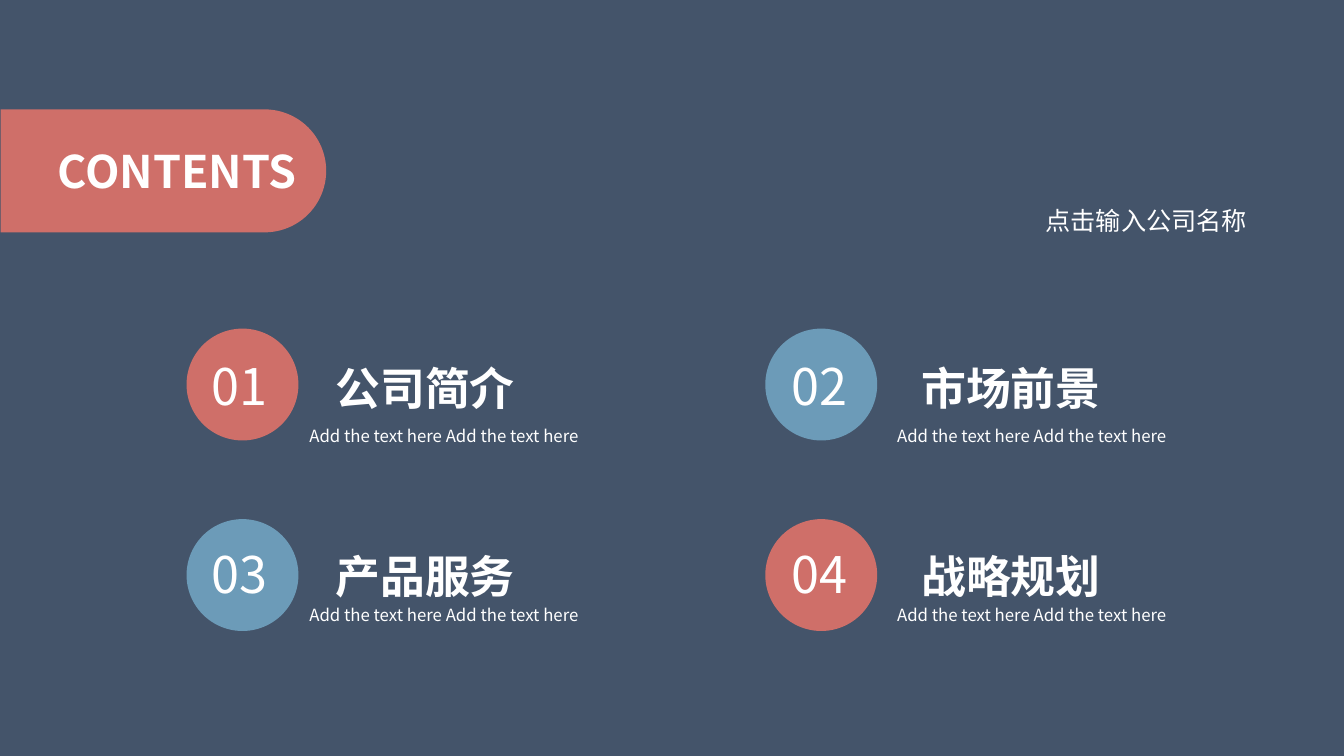
from dataclasses import dataclass

from lxml import etree
from pptx import Presentation
from pptx.dml.color import RGBColor
from pptx.enum import shapes, text
from pptx.oxml.ns import qn
from pptx.util import Inches, Pt


@dataclass(frozen=True)
class Theme:
    background: str = "44546A"
    coral: str = "CF6F69"
    blue: str = "6C9BB8"
    white: str = "FFFFFF"
    font: str = "Noto Sans CJK SC"
    number_size: int = 36
    heading_size: int = 32
    company_size: int = 18
    note_size: int = 12


THEME = Theme()

# Left edges of the two columns and top edges of the two rows, per part
CIRCLE_LEFTS, CIRCLE_TOPS = (1.85, 7.59), (3.26, 5.15)
NUMBER_LEFTS, NUMBER_TOPS = (2, 7.75), (3.47, 5.34)
HEADING_LEFTS, HEADING_TOPS = (3.23, 9.04), (3.53, 5.39)
NOTE_LEFTS, NOTE_TOPS = (2.97, 8.8), (4.17, 5.95)

HEADINGS = ("公司简介", "市场前景", "产品服务", "战略规划")
NOTE = "Add the text here Add the text here"


def place(shape, left, top, width, height):
    shape.left, shape.top = Inches(left), Inches(top)
    shape.width, shape.height = Inches(width), Inches(height)


def write(shape, words, size, bold=False):
    """Put one unwrapped, left-aligned line of white text in the shape."""
    frame = shape.text_frame
    frame.text = words
    frame.word_wrap = False
    frame.auto_size = text.MSO_AUTO_SIZE.SHAPE_TO_FIT_TEXT
    frame.vertical_anchor = text.MSO_ANCHOR.TOP
    line = frame.paragraphs[0]
    line.alignment = text.PP_ALIGN.LEFT
    line.line_spacing = 1.0
    line.font.size = Pt(size)
    line.font.bold = bold
    line.font.color.rgb = RGBColor.from_string(THEME.white)
    line.font.name = THEME.font
    for properties in shape.element.iter(qn("a:defRPr")):
        etree.SubElement(properties, qn("a:ea"), typeface=THEME.font)


def add_label(slide, words, box, size, bold=False):
    label = slide.shapes.add_textbox(*map(Inches, box))
    write(label, words, size, bold)


def add_solid(slide, preset, box, color):
    solid = slide.shapes.add_shape(preset, *map(Inches, box))
    solid.shadow.inherit = False
    solid.fill.solid()
    solid.fill.fore_color.rgb = RGBColor.from_string(color)
    solid.line.fill.background()
    return solid


def add_title_banner(slide):
    """Draw the tab at the left edge, with the title on top of it."""
    banner = add_solid(slide, shapes.MSO_SHAPE.ROUND_2_SAME_RECTANGLE,
                       (1.01, 0.08, 1.22, 3.23), THEME.coral)
    banner.adjustments[0] = 0.5
    banner.adjustments[1] = 0
    banner.rotation = 90
    title = slide.shapes.title
    place(title, 0.47, 1.38, 2.71, 0.64)
    write(title, "CONTENTS", THEME.heading_size, bold=True)
    banner.element.addnext(title.element)


def add_section(slide, index, heading):
    row, column = divmod(index, 2)
    color = THEME.coral if row == column else THEME.blue
    add_solid(slide, shapes.MSO_SHAPE.OVAL,
              (CIRCLE_LEFTS[column], CIRCLE_TOPS[row], 1.11, 1.11), color)
    add_label(slide, f"{index + 1:02}",
              (NUMBER_LEFTS[column], NUMBER_TOPS[row], 0.8, 0.71),
              THEME.number_size)
    add_label(slide, heading,
              (HEADING_LEFTS[column], HEADING_TOPS[row], 2, 0.64),
              THEME.heading_size, bold=True)
    add_label(slide, NOTE,
              (NOTE_LEFTS[column], NOTE_TOPS[row], 3.06, 0.3),
              THEME.note_size)


def main():
    deck = Presentation()
    deck.slide_width, deck.slide_height = Inches(13.33), Inches(7.5)
    slide = deck.slides.add_slide(deck.slide_layouts.get_by_name("Title Only"))
    slide.background.fill.solid()
    slide.background.fill.fore_color.rgb = RGBColor.from_string(THEME.background)

    add_title_banner(slide)
    add_label(slide, "点击输入公司名称", (10.27, 1.99, 2.22, 0.4),
              THEME.company_size)
    for index, heading in enumerate(HEADINGS):
        add_section(slide, index, heading)
    deck.save("out.pptx")


if __name__ == "__main__":
    main()
